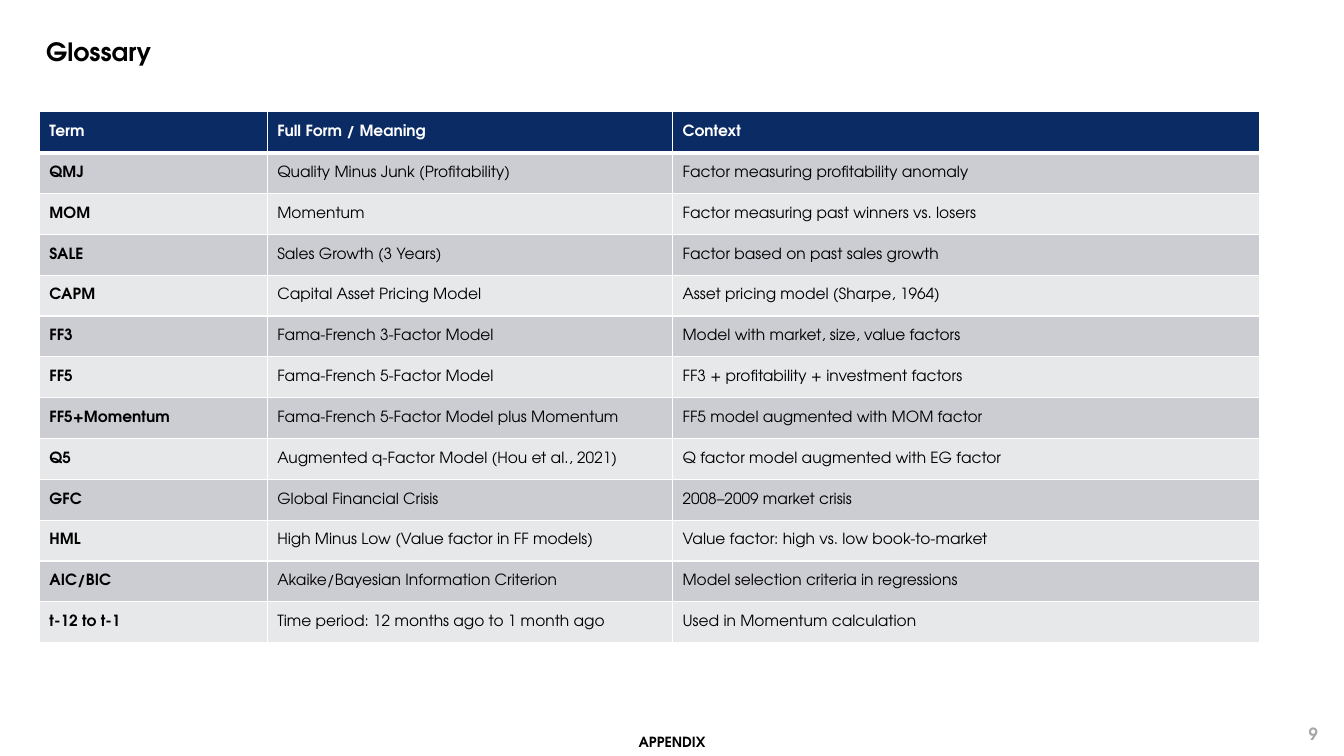
from lxml.etree import SubElement
from pptx import Presentation
from pptx.dml.color import RGBColor
from pptx.enum.text import MSO_ANCHOR, PP_ALIGN
from pptx.oxml.ns import qn
from pptx.util import Emu, Pt

PX = 9144
FONT = "TeX Gyre Adventor"
BLACK, WHITE, NAVY, GRAY = "000000", "FFFFFF", "0B2B65", "A6A6A6"
BANDS = ("CCCDD3", "E7E8EA")
COLUMNS = (226, 402, 582)
GLOSSARY = [
    ("Term", "Full Form / Meaning", "Context"),
    ("QMJ", "Quality Minus Junk (Profitability)", "Factor measuring profitability anomaly"),
    ("MOM", "Momentum", "Factor measuring past winners vs. losers"),
    ("SALE", "Sales Growth (3 Years)", "Factor based on past sales growth"),
    ("CAPM", "Capital Asset Pricing Model", "Asset pricing model (Sharpe, 1964)"),
    ("FF3", "Fama-French 3-Factor Model", "Model with market, size, value factors"),
    ("FF5", "Fama-French 5-Factor Model", "FF3 + profitability + investment factors"),
    ("FF5+Momentum", "Fama-French 5-Factor Model plus Momentum", "FF5 model augmented with MOM factor"),
    ("Q5", "Augmented q-Factor Model (Hou et al., 2021)", "Q factor model augmented with EG factor"),
    ("GFC", "Global Financial Crisis", "2008–2009 market crisis"),
    ("HML", "High Minus Low (Value factor in FF models)", "Value factor: high vs. low book-to-market"),
    ("AIC/BIC", "Akaike/Bayesian Information Criterion", "Model selection criteria in regressions"),
    ("t-12 to t-1", "Time period: 12 months ago to 1 month ago", "Used in Momentum calculation"),
]


def px(n):
    """Turn px into EMU."""
    return Emu(n * PX)


def rgb(color):
    """Turn a hex string into a colour."""
    return RGBColor.from_string(color)


def write(tf, text, size=11, color=BLACK, bold=True, align=PP_ALIGN.LEFT):
    """Write one formatted paragraph into a text frame."""
    p = tf.paragraphs[0]
    p.alignment = align
    r = p.add_run()
    r.text = text
    r.font.name, r.font.size, r.font.bold = FONT, Pt(size), bold
    r.font.color.rgb = rgb(color)


def add_text(s, box, text, anchor=MSO_ANCHOR.TOP, inset=True, **fmt):
    """Add a wrapped text box with the given format."""
    tf = s.shapes.add_textbox(*map(px, box)).text_frame
    tf.word_wrap = True
    tf.vertical_anchor = anchor
    if not inset:
        tf.margin_left = tf.margin_top = tf.margin_right = tf.margin_bottom = 0
    write(tf, text, **fmt)


def set_borders(cell, top, bottom):
    """Draw white borders around a cell, with widths in points."""
    tcPr = cell._tc.get_or_add_tcPr()
    for side, width in (("L", 1), ("R", 1), ("T", top), ("B", bottom)):
        ln = SubElement(tcPr, qn(f"a:ln{side}"), w=str(Pt(width)))
        fill = SubElement(ln, qn("a:solidFill"))
        SubElement(fill, qn("a:srgbClr"), val=WHITE)


def add_glossary(s, box, rows):
    """Fill the box with the glossary table, in equal rows."""
    table = s.shapes.add_table(len(rows), len(COLUMNS), *map(px, box)).table
    for column, width in zip(table.columns, COLUMNS):
        column.width = px(width)
    for i, row in enumerate(rows):
        table.rows[i].height = Emu(px(box[3]) // len(rows))
        header = i == 0
        for j, text in enumerate(row):
            cell = table.cell(i, j)
            set_borders(cell, 3 if i == 1 else 1, 3 if header else 1)
            cell.fill.solid()
            cell.fill.fore_color.rgb = rgb(NAVY if header else BANDS[(i - 1) % 2])
            cell.vertical_anchor = MSO_ANCHOR.MIDDLE
            write(cell.text_frame, text, color=WHITE if header else BLACK, bold=header or j == 0)


def add_footer(s, box, section, number):
    """Place the section name and page number in the footer box."""
    x, y, w, h = box
    add_text(s, (x + w - 68, y, 68, 30), number, size=12, color=GRAY, align=PP_ALIGN.RIGHT)
    add_text(s, (x + (w - 141) // 2, y + h - 17, 141, 17), section, inset=False, size=10, align=PP_ALIGN.CENTER)


def main():
    """Build and save the glossary slide."""
    prs = Presentation()
    prs.slide_width, prs.slide_height = px(1333), px(750)
    s = prs.slides.add_slide(prs.slide_layouts[6])
    add_text(s, (36, 27, 1174, 48), "Glossary", anchor=MSO_ANCHOR.MIDDLE, size=18)
    add_glossary(s, (39, 111, 1210, 527), GLOSSARY)
    add_footer(s, (16, 713, 1301, 32), "APPENDIX", "9")
    prs.save("out.pptx")


if __name__ == "__main__":
    main()
